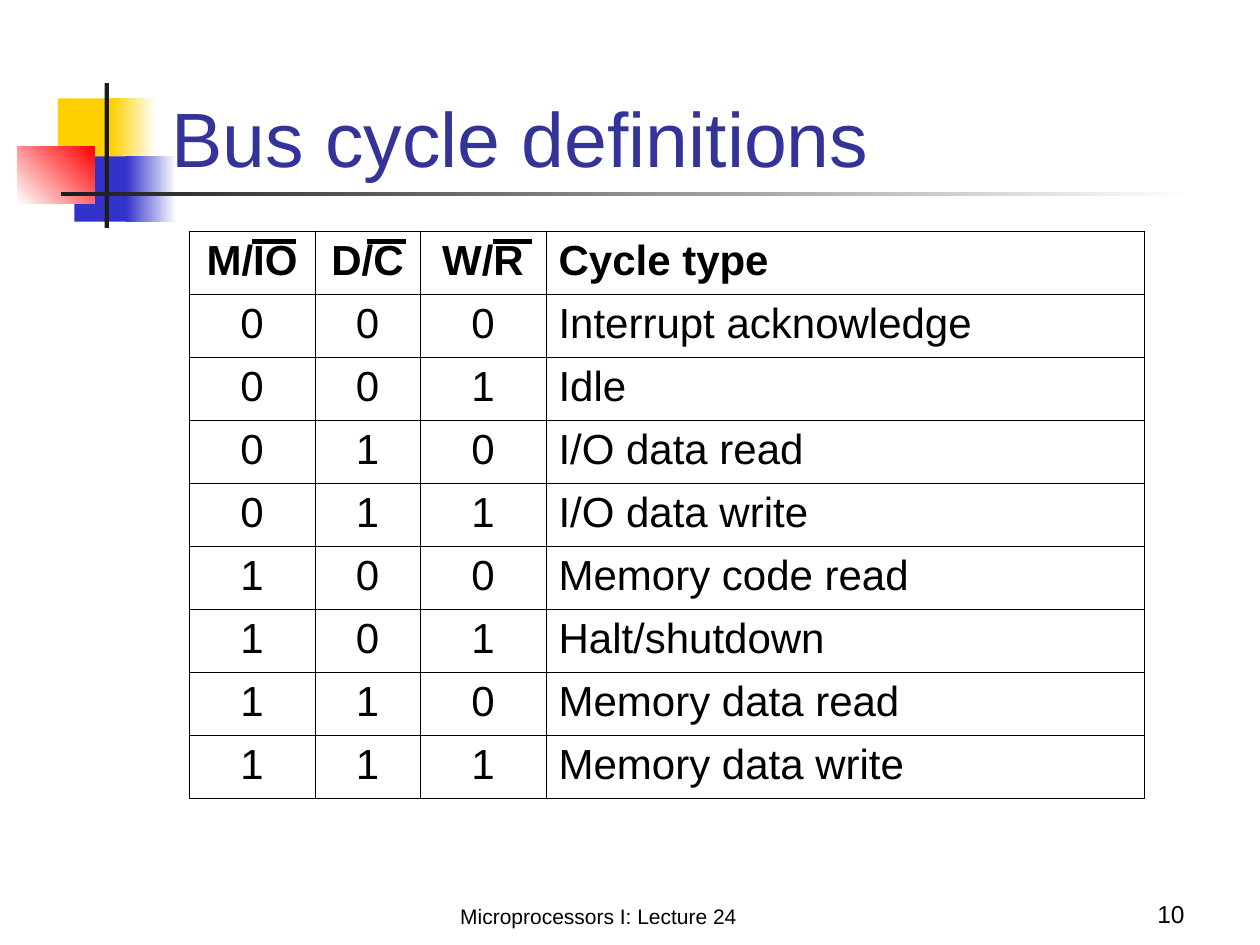
from lxml import etree
from pptx import Presentation
from pptx.dml.color import RGBColor
from pptx.enum import shapes, text
from pptx.oxml.ns import qn
from pptx.util import Pt

FONT = "Arial"
COLORS = {
    "yellow": "FFCF01", "blue": "3333CC", "red": "FF0000", "dark": "1C1C1C",
    "white": "FFFFFF", "title": "333399", "black": "000000",
}
LEFT, CENTER, RIGHT = text.PP_ALIGN.LEFT, text.PP_ALIGN.CENTER, text.PP_ALIGN.RIGHT

# left, top, width, height, start colour, end colour (None = solid), angle
DECORATION = [
    (33.1, 56.2, 37.4, 37.4, "yellow", None, 0),
    (63.4, 56.2, 25.9, 37.4, "yellow", "white", 0),
    (42.5, 89.3, 33.1, 37.4, "blue", None, 0),
    (72, 89.3, 28.8, 37.4, "blue", "white", 0),
    (10.1, 83.5, 43.9, 33.1, "white", "red", 45),
    (59.8, 47.5, 2.5, 82.8, "dark", None, 0),
    (34.6, 109.6, 648, 2.5, "dark", "white", 0),
]

# words, left, top, width, height, size, colour, alignment
TEXTS = [
    ("Bus cycle definitions", 90.7, 18, 613.4, 90, 44, "title", LEFT),
    ("Microprocessors I: Lecture 24", 150, 498, 384, 36, 12, "black", CENTER),
    ("10", 534, 498, 150, 36, 14, "black", RIGHT),
]

SIGNALS = ["M/IO", "D/C", "W/R", "Cycle type"]
CYCLES = [
    "Interrupt acknowledge", "Idle", "I/O data read", "I/O data write",
    "Memory code read", "Halt/shutdown", "Memory data read", "Memory data write",
]
TABLE_LEFT, TABLE_TOP, ROW_HEIGHT = 108, 132, 36
COLUMN_WIDTHS = [72, 60, 72, 342]
BORDER_WIDTH = 0.45

OVERBAR_Y, OVERBAR_WIDTH = 138, 3
OVERBARS = [(144, 169), (210, 232), (282, 304)]


def rgb(name):
    return RGBColor.from_string(COLORS[name])


def write(frame, words, size, color, align, bold=False):
    frame.text = words
    paragraph = frame.paragraphs[0]
    paragraph.alignment = align
    font = paragraph.runs[0].font
    font.name, font.size, font.bold = FONT, Pt(size), bold
    font.color.rgb = rgb(color)


def add_decoration(slide, left, top, width, height, start, end, angle):
    block = slide.shapes.add_shape(
        shapes.MSO_SHAPE.RECTANGLE, Pt(left), Pt(top), Pt(width), Pt(height))
    block.shadow.inherit = False
    block.line.fill.background()
    if end is None:
        block.fill.solid()
        block.fill.fore_color.rgb = rgb(start)
        return
    block.fill.gradient()
    block.fill.gradient_angle = angle
    for stop, color in zip(block.fill.gradient_stops, (start, end)):
        stop.color.rgb = rgb(color)


def add_text(slide, words, left, top, width, height, size, color, align):
    box = slide.shapes.add_textbox(Pt(left), Pt(top), Pt(width), Pt(height))
    frame = box.text_frame
    frame.word_wrap = True
    frame.vertical_anchor = text.MSO_ANCHOR.BOTTOM
    write(frame, words, size, color, align)


def add_borders(cell):
    properties = cell._tc.get_or_add_tcPr()
    for side in ("lnL", "lnR", "lnT", "lnB"):
        line = etree.SubElement(properties, qn(f"a:{side}"), w=str(Pt(BORDER_WIDTH)))
        fill = etree.SubElement(line, qn("a:solidFill"))
        etree.SubElement(fill, qn("a:srgbClr"), val=COLORS["black"])


def add_cycle_table(slide):
    # The three signal bits count upwards in binary, one cycle type per value.
    rows = [SIGNALS] + [[*f"{value:03b}", cycle] for value, cycle in enumerate(CYCLES)]
    table = slide.shapes.add_table(
        len(rows), len(SIGNALS), Pt(TABLE_LEFT), Pt(TABLE_TOP),
        Pt(sum(COLUMN_WIDTHS)), Pt(ROW_HEIGHT * len(rows))).table
    table.first_row = table.horz_banding = False
    for column, width in zip(table.columns, COLUMN_WIDTHS):
        column.width = Pt(width)
    for r, row in enumerate(rows):
        for c, words in enumerate(row):
            cell = table.cell(r, c)
            align = LEFT if c == len(SIGNALS) - 1 else CENTER
            write(cell.text_frame, words, 24, "black", align, bold=r == 0)
            add_borders(cell)
            cell.fill.background()


def add_overbar(slide, start, end):
    """Mark an active-low signal with a line above its letters."""
    bar = slide.shapes.add_connector(
        shapes.MSO_CONNECTOR.STRAIGHT, Pt(start), Pt(OVERBAR_Y), Pt(end), Pt(OVERBAR_Y))
    bar.line.width = Pt(OVERBAR_WIDTH)
    bar.line.color.rgb = rgb("black")
    etree.SubElement(bar._element.spPr, qn("a:effectLst"))


def main():
    deck = Presentation()
    deck.slide_width, deck.slide_height = Pt(720), Pt(540)
    slide = deck.slides.add_slide(deck.slide_layouts[6])
    for block in DECORATION:
        add_decoration(slide, *block)
    title, *footers = TEXTS
    add_text(slide, *title)
    add_cycle_table(slide)
    for footer in footers:
        add_text(slide, *footer)
    for overbar in OVERBARS:
        add_overbar(slide, *overbar)
    deck.save("out.pptx")


if __name__ == "__main__":
    main()
